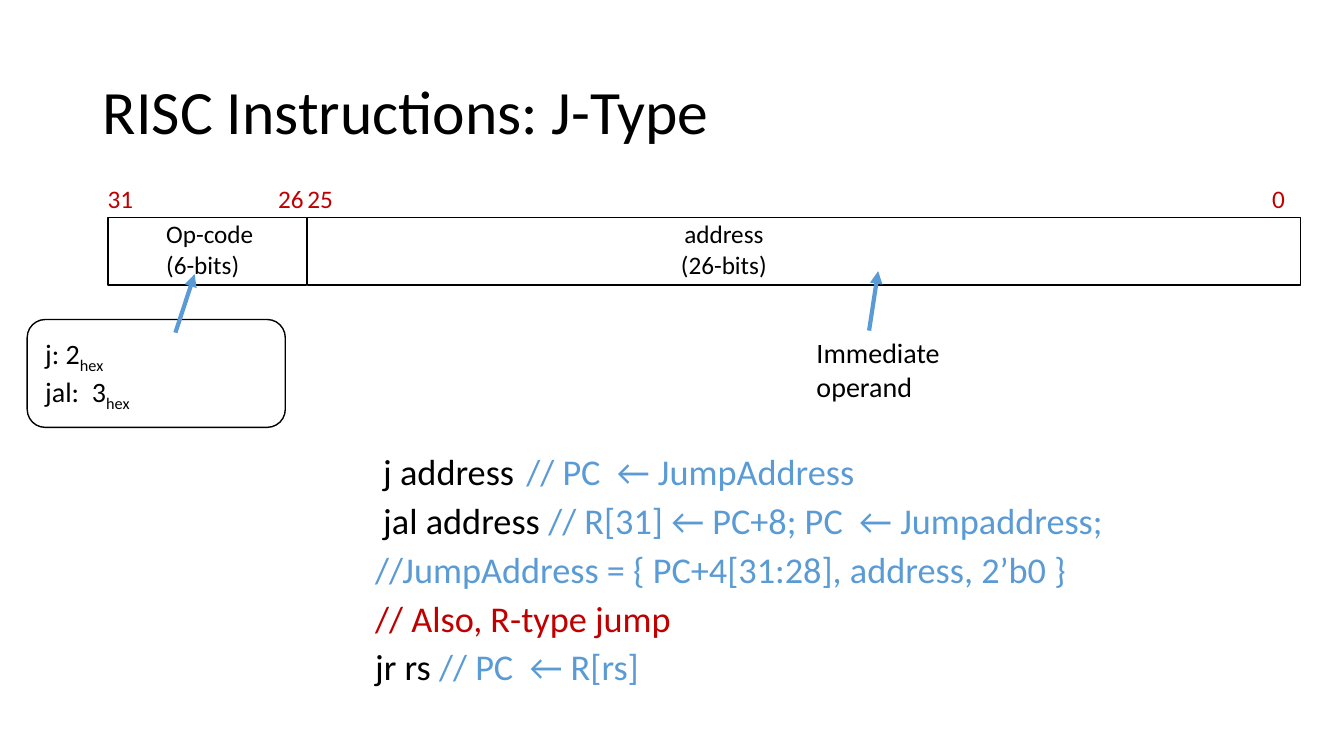
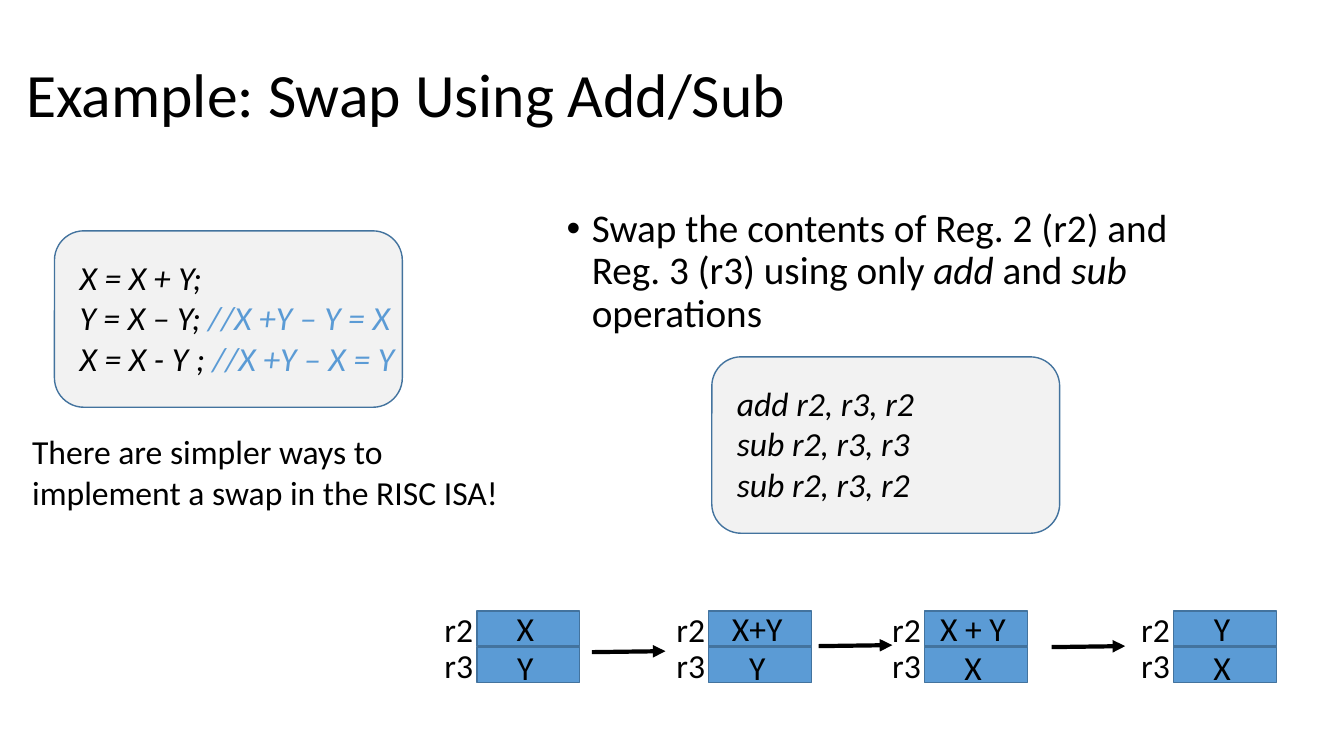
from lxml.etree import SubElement
from pptx import Presentation
from pptx.dml.color import RGBColor
from pptx.enum.shapes import MSO_CONNECTOR, MSO_SHAPE
from pptx.enum.text import MSO_ANCHOR, MSO_AUTO_SIZE, PP_ALIGN
from pptx.oxml.ns import qn
from pptx.util import Pt

PX = 9144  # 100 px to the inch
COLORS = {
    "text": "000000",
    "comment": "5B9BD5",
    "accent": "C00000",
    "register": "5B9BD5",
    "outline": "43739E",
    "panel": "F2F2F2",
}
FONT = "Calibri"
TITLE = {"size": 44, "line_spacing": 0.9}
LABEL = {"size": 18}
BITS = {"size": 18, "color": "accent"}
NOTE = {"size": 20}
CODE = {"size": 24, "italic": True}
PLAIN = {"size": 24}
COMMENT = {"color": "comment"}
SUBSCRIPT = {"baseline": "-25000"}
FRAME = {"word_wrap": True, "auto_size": MSO_AUTO_SIZE.NONE}
PARAGRAPH_KEYS = ("alignment", "line_spacing", "space_before")


def rgb(name):
    return RGBColor.from_string(COLORS[name])


def px(*lengths):
    return [round(length * PX) for length in lengths]


def set_all(target, values):
    for name, value in values.items():
        setattr(target, name, value)


def add_run(paragraph, text, style):
    run = paragraph.add_run()
    run.text = text
    set_all(run.font, {
        "name": FONT,
        "size": Pt(style["size"]),
        "italic": style.get("italic", False),
    })
    run.font.color.rgb = rgb(style.get("color", "text"))
    if "baseline" in style:
        run._r.get_or_add_rPr().set("baseline", style["baseline"])


def write(frame, lines, style, **frame_values):
    """Fill a frame; a line is a string or a list of (text, style changes)."""
    set_all(frame, FRAME | frame_values)
    for index, line in enumerate(lines):
        paragraph = frame.add_paragraph() if index else frame.paragraphs[0]
        set_all(paragraph, {key: style[key] for key in PARAGRAPH_KEYS if key in style})
        for text, changes in [(line, {})] if isinstance(line, str) else line:
            add_run(paragraph, text, style | changes)


def add_text(slide, box, lines, style):
    text_box = slide.shapes.add_textbox(*px(*box))
    write(text_box.text_frame, lines, style)


def add_box(slide, box, kind=MSO_SHAPE.RECTANGLE, fill=None, outline="text"):
    shape = slide.shapes.add_shape(kind, *px(*box))
    shape.shadow.inherit = False
    if fill:
        shape.fill.solid()
        shape.fill.fore_color.rgb = rgb(fill)
    else:
        shape.fill.background()
    shape.line.color.rgb = rgb(outline)
    shape.line.width = Pt(1)
    return shape


def add_panel(slide, box, lines, style, offset, **colors):
    """Rounded box with lines of text starting at an offset from its corner."""
    left, top, width, height = box
    add_box(slide, box, MSO_SHAPE.ROUNDED_RECTANGLE, **colors)
    add_text(slide, (left + offset[0], top + offset[1], width + 20, height), lines, style)


def add_arrow(slide, start, end, color):
    connector = slide.shapes.add_connector(MSO_CONNECTOR.STRAIGHT, *px(*start, *end))
    connector.line.color.rgb = rgb(color)
    connector.line.width = Pt(3)
    SubElement(connector.line._get_or_add_ln(), qn("a:tailEnd"), type="triangle")
    SubElement(connector._element.spPr, qn("a:effectLst"))


def add_slide(presentation, title, title_at, body_box):
    """Add a slide with its title written; return it and its body placeholder."""
    slide = presentation.slides.add_slide(presentation.slide_layouts[1])
    body = slide.placeholders[1]
    for shape, box in ((slide.shapes.title, (*title_at, 1150, 145)), (body, body_box)):
        set_all(shape, dict(zip(("left", "top", "width", "height"), px(*box))))
    write(slide.shapes.title.text_frame, [title], TITLE | {"alignment": PP_ALIGN.LEFT},
          vertical_anchor=MSO_ANCHOR.MIDDLE)
    return slide, body


def set_list(body, indent, bullet, tab=None):
    for paragraph in body.text_frame.paragraphs:
        properties = paragraph._p.get_or_add_pPr()
        properties.set("marL", str(indent * PX))
        properties.set("indent", str(-indent * PX))
        if bullet:
            SubElement(properties, qn("a:buChar"), char=bullet)
        else:
            SubElement(properties, qn("a:buNone"))
        if tab:
            tabs = SubElement(properties, qn("a:tabLst"))
            SubElement(tabs, qn("a:tab"), pos=str(tab * PX), algn="l")


def add_field(slide, box, caption, caption_left, alignment, high_bit, low_bit):
    """One field of an instruction word, with its bit numbers above it."""
    left, top, width, _ = box
    add_box(slide, box)
    for bit, bit_left in ((high_bit, left - 10), (low_bit, left + width - 38)):
        add_text(slide, (bit_left, top - 39, 50, 40), [bit], BITS)
    add_text(slide, (caption_left, top - 4, 140, 71), caption, LABEL | {"alignment": alignment})


def add_register_pair(slide, left, top, values):
    width, height, pitch = 102, 35, 36
    for row, (name, value) in enumerate(zip(("r2", "r3"), values)):
        row_top = top + row * pitch
        cell = add_box(slide, (left, row_top, width, height), fill="register", outline="outline")
        write(cell.text_frame, [value], PLAIN | {"alignment": PP_ALIGN.CENTER},
              vertical_anchor=MSO_ANCHOR.MIDDLE, margin_left=0, margin_right=6 * PX,
              margin_top=row * 5 * PX, margin_bottom=0)
        add_text(slide, (left - 42, row_top - 7, 60, 50), [name], PLAIN)


def build_jump_slide(presentation):
    slide, body = add_slide(presentation, "RISC Instructions: J-Type", (92, 41),
                            (362, 449, 893, 290))
    write(body.text_frame, [
        [(" j address\t", {}), ("// PC  ← JumpAddress", COMMENT)],
        [(" jal address ", {}), ("// R[31] ← PC+8; PC  ← Jumpaddress;", COMMENT)],
        [("//JumpAddress = { PC+4[31:28], address, 2’b0 }", COMMENT)],
        [("// Also, R-type jump", {"color": "accent"})],
        [("jr rs ", {}), ("// PC  ← R[rs]", COMMENT)],
    ], {"size": 25.9, "line_spacing": 0.8, "space_before": Pt(10)})
    set_list(body, indent=0, bullet=None, tab=208)

    add_field(slide, (107, 216, 197, 67), ["Op-code", "(6-bits)"], 155,
              PP_ALIGN.LEFT, "31", "26")
    add_field(slide, (305, 216, 985, 67), ["address", "(26-bits)"], 648,
              PP_ALIGN.CENTER, "25", "0")
    add_panel(slide, (27, 317, 256, 107), [
        [("j: 2", {}), ("hex", SUBSCRIPT)],
        [("jal:  3", {}), ("hex", SUBSCRIPT)],
    ], NOTE, (8, 12))
    add_text(slide, (800, 328, 166, 77), ["Immediate operand"], NOTE)
    add_arrow(slide, (174, 330), (193, 272), "comment")
    add_arrow(slide, (862, 328), (871, 269), "comment")


def build_swap_slide(presentation):
    slide, body = add_slide(presentation, "Example: Swap Using Add/Sub", (16, 24),
                            (552, 202, 649, 476))
    write(body.text_frame, [[
        ("Swap the contents of Reg. 2 (r2) and Reg. 3 (r3) using only ", {}),
        ("add", {"italic": True}), (" and ", {}),
        ("sub", {"italic": True}), (" operations", {}),
    ]], {"size": 28, "line_spacing": 0.9, "space_before": Pt(10)})
    set_list(body, indent=25, bullet="•")

    steps = [
        "X = X + Y;",
        [("Y = X – Y; ", {}), ("//X +Y – Y = X", COMMENT)],
        [("X = X - Y ; ", {}), ("//X +Y – X = Y", COMMENT)],
    ]
    instructions = ["add r2, r3, r2", "sub r2, r3, r3", "sub r2, r3, r2"]
    for left, top, lines in ((54, 229, steps), (706, 354, instructions)):
        add_panel(slide, (left, top, 345, 175), lines, CODE, (15, 21),
                  fill="panel", outline="outline")
    add_text(slide, (22, 423, 506, 91),
             ["There are simpler ways to implement a swap in the RISC ISA!"], PLAIN)

    states = ((473, ("X", "Y")), (703, ("X+Y", "Y")), (917, ("X + Y", "X")), (1164, ("Y", "X")))
    for left, values in states:
        add_register_pair(slide, left, 606, values)
    for left, top in ((587, 647), (812, 641), (1043, 642)):
        add_arrow(slide, (left, top), (left + 73, top - 1), "text")


def main():
    presentation = Presentation()
    presentation.slide_width, presentation.slide_height = px(1333, 750)
    build_jump_slide(presentation)
    build_swap_slide(presentation)
    presentation.save("out.pptx")


if __name__ == "__main__":
    main()
